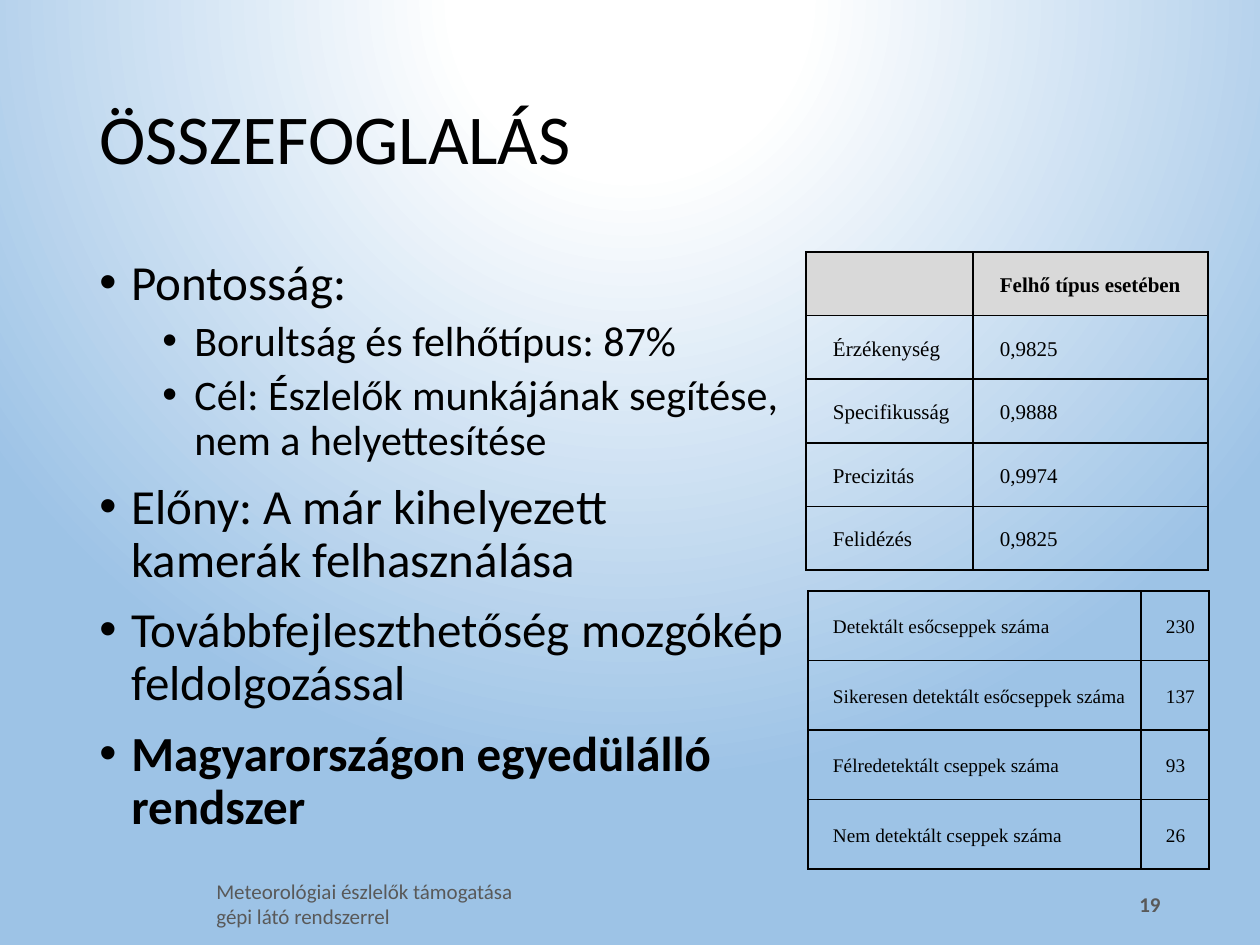
"""Builds the summary slide with its bullet list and two result tables."""

from lxml.etree import SubElement
from pptx import Presentation
from pptx.dml.color import RGBColor
from pptx.enum.text import MSO_ANCHOR, PP_ALIGN
from pptx.oxml import parse_xml
from pptx.oxml.ns import nsdecls, qn
from pptx.util import Emu, Pt

BLACK = RGBColor(0x00, 0x00, 0x00)
GRAY = RGBColor(0x59, 0x59, 0x59)
HEADER_GRAY = RGBColor(0xD9, 0xD9, 0xD9)


def px(length):
    return Emu(round(length * 914400 / 126))


def add_span(para, text, size, color=BLACK, bold=False, font="Calibri"):
    span = para.add_run()
    span.text = text
    span.font.size = Pt(size)
    span.font.name = font
    span.font.bold = bold
    span.font.color.rgb = color


deck = Presentation()
deck.slide_width, deck.slide_height = px(1260), px(945)
page = deck.slides.add_slide(deck.slide_layouts[6])

page.background.fill.gradient()
gradient = page.element.find(".//" + qn("a:gradFill"))
gradient.getparent().replace(gradient, parse_xml(
    f'<a:gradFill {nsdecls("a")} rotWithShape="1"><a:gsLst>'
    '<a:gs pos="0"><a:srgbClr val="FFFFFF"/></a:gs>'
    '<a:gs pos="22000"><a:srgbClr val="FFFFFF"/></a:gs>'
    '<a:gs pos="100000"><a:srgbClr val="9DC3E6"/></a:gs></a:gsLst>'
    '<a:path path="circle"><a:fillToRect l="50000" t="-80000" r="50000" b="180000"/>'
    '</a:path></a:gradFill>'))

labels = [
    ((87, 50, 1086, 183), "ÖSSZEFOGLALÁS", 40, BLACK, False, PP_ALIGN.LEFT, 0.9),
    ((889, 879, 284, 50), "19", 12, GRAY, True, PP_ALIGN.RIGHT, 1.0),
    ((204, 879, 354, 50), "Meteorológiai észlelők támogatása gépi látó rendszerrel",
     12, GRAY, False, PP_ALIGN.LEFT, 1.0),
]
for place, text, size, color, bold, align, spacing in labels:
    box = page.shapes.add_textbox(*map(px, place))
    box.text_frame.word_wrap = True
    box.text_frame.vertical_anchor = MSO_ANCHOR.MIDDLE
    para = box.text_frame.paragraphs[0]
    para.alignment = align
    para.line_spacing = spacing
    add_span(para, text, size, color, bold)

bullets = [
    (0, "Pontosság:", False),
    (1, "Borultság és felhőtípus: 87%", False),
    (1, "Cél: Észlelők munkájának segítése, nem a helyettesítése", False),
    (0, "Előny: A már kihelyezett kamerák felhasználása", False),
    (0, "Továbbfejleszthetőség mozgókép feldolgozással", False),
    (0, "Magyarországon egyedülálló rendszer", True),
]
body = page.shapes.add_textbox(*map(px, (87, 252, 711, 600))).text_frame
body.word_wrap = True
for index, (level, text, bold) in enumerate(bullets):
    para = body.add_paragraph() if index else body.paragraphs[0]
    para.level = level
    para.line_spacing = 0.9
    para.space_before = Pt((10, 5)[level] if index else 0)
    properties = para._p.get_or_add_pPr()
    properties.set("marL", str(px((32, 95)[level])))
    properties.set("indent", str(px(-32)))
    SubElement(properties, qn("a:buFont"), typeface="Arial")
    SubElement(properties, qn("a:buChar"), char="•")
    add_span(para, text, (28, 24)[level], bold=bold)

accuracy = [
    ("", "Felhő típus esetében"),
    ("Érzékenység", "0,9825"),
    ("Specifikusság", "0,9888"),
    ("Precizitás", "0,9974"),
    ("Felidézés", "0,9825"),
]
raindrops = [
    ("Detektált esőcseppek száma", "230"),
    ("Sikeresen detektált esőcseppek száma", "137"),
    ("Félredetektált cseppek száma", "93"),
    ("Nem detektált cseppek száma", "26"),
]
tables = [
    (accuracy, 806, 252, (167, 235), 318, 12, 9, True),
    (raindrops, 808, 591, (333, 68), 278, 11, 7, False),
]
for rows, left, top, widths, height, size, inset, has_header in tables:
    table = page.shapes.add_table(
        len(rows), len(widths), px(left), px(top), px(sum(widths)), px(height)).table
    table.first_row = has_header
    table.horz_banding = False
    for column, width in zip(table.columns, widths):
        column.width = px(width)
    for row_index, texts in enumerate(rows):
        table.rows[row_index].height = px(height / len(rows))
        for column_index, text in enumerate(texts):
            is_header = has_header and row_index == 0
            cell = table.cell(row_index, column_index)
            cell.vertical_anchor = MSO_ANCHOR.MIDDLE
            cell.margin_left = cell.margin_right = px(inset)
            cell.margin_top = cell.margin_bottom = 0
            for side in ("a:lnL", "a:lnR", "a:lnT", "a:lnB"):
                border = SubElement(cell._tc.get_or_add_tcPr(), qn(side), w=str(Pt(1)))
                ink = SubElement(border, qn("a:solidFill"))
                SubElement(ink, qn("a:srgbClr"), val=str(BLACK))
            if is_header:
                cell.fill.solid()
                cell.fill.fore_color.rgb = HEADER_GRAY
            else:
                cell.fill.background()
            if text:
                para = cell.text_frame.paragraphs[0]
                para.alignment = PP_ALIGN.JUSTIFY
                para.line_spacing = 1.15
                para._p.get_or_add_pPr().set("indent", str(px(18)))
                add_span(para, text, size, bold=is_header, font="Times New Roman")

deck.save("out.pptx")
